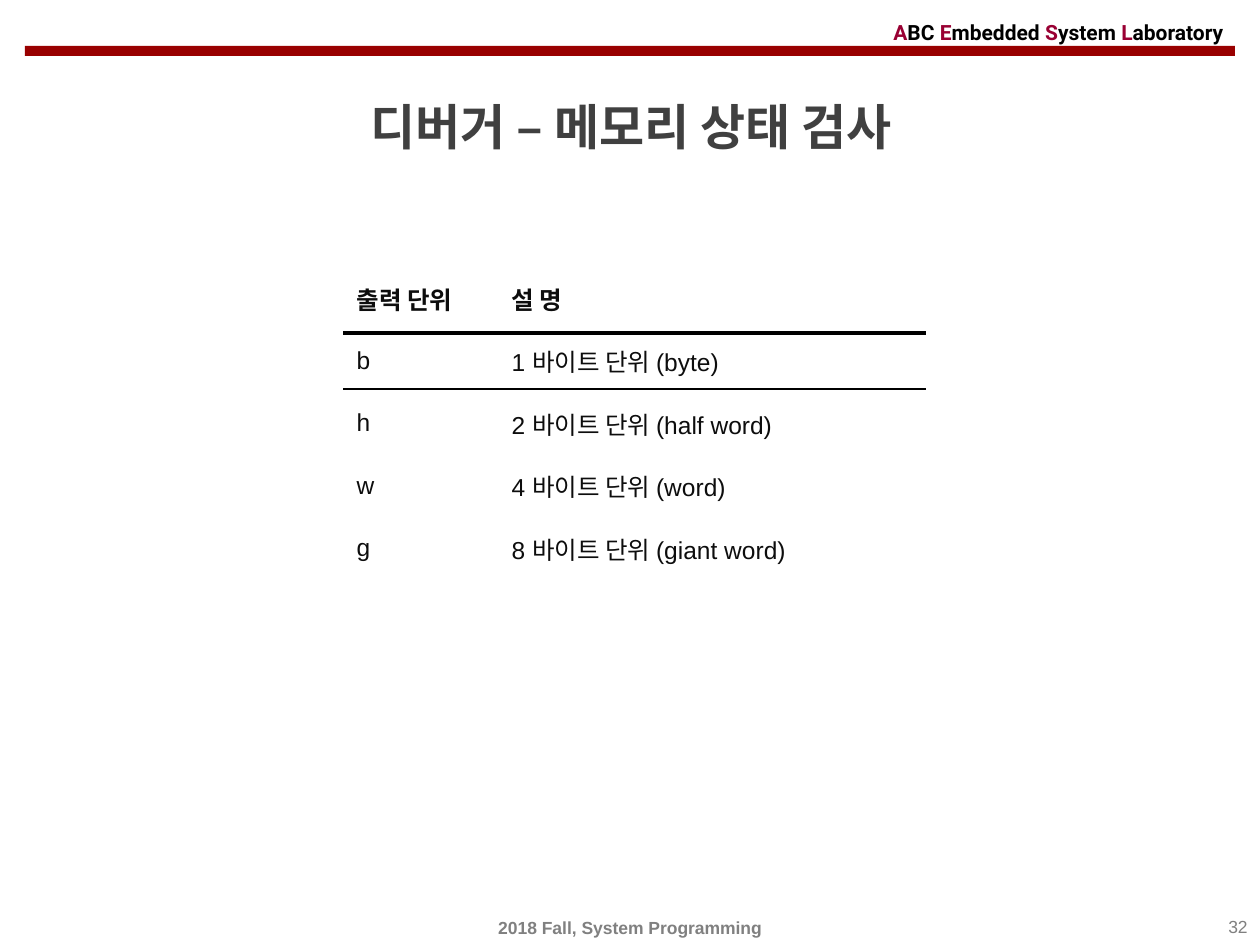
from lxml import etree
from pptx import Presentation
from pptx.dml.color import RGBColor
from pptx.enum.shapes import MSO_SHAPE
from pptx.enum.text import MSO_ANCHOR, PP_ALIGN
from pptx.oxml.ns import qn
from pptx.util import Pt

RECTANGLE = MSO_SHAPE.RECTANGLE
TOP, MIDDLE = MSO_ANCHOR.TOP, MSO_ANCHOR.MIDDLE
LEFT, CENTER, RIGHT = PP_ALIGN.LEFT, PP_ALIGN.CENTER, PP_ALIGN.RIGHT
EMU_PER_PX = 914400 / 126
KOREAN_FONT = "Noto Sans CJK KR"
BLACK, WHITE, GRAY, CRIMSON = "000000", "FFFFFF", "808080", "990033"

HEADER_FORMAT = {"name": "Roboto", "size": Pt(12), "bold": True}
TITLE_FORMAT = {"name": KOREAN_FONT, "size": Pt(28), "bold": True}
FOOTER_FORMAT = {"name": "Arial", "size": Pt(10), "bold": True}
NUMBER_FORMAT = {"name": "Arial", "size": Pt(10), "bold": False}
HEAD_FORMAT = {"name": "Arial", "size": Pt(14), "bold": True}
BODY_FORMAT = {"name": "Arial", "size": Pt(14), "bold": False}

COLUMN_WIDTHS = [155, 426]
ROW_HEIGHTS = [69, 56, 69, 56, 69]
UNIT_ROWS = [
    ("출력 단위", "설 명"),
    ("b", "1 바이트 단위 (byte)"),
    ("h", "2 바이트 단위 (half word)"),
    ("w", "4 바이트 단위 (word)"),
    ("g", "8 바이트 단위 (giant word)"),
]
RULES_BELOW = {0: 2.25, 1: 1.5}


def px(length):
    """Turn pixels into EMU."""
    return round(length * EMU_PER_PX)


def color(value):
    """Turn a hex string into a colour."""
    return RGBColor.from_string(value)


def add_run(paragraph, text, formats, text_color):
    """Add a formatted run that draws Hangul in the Korean font."""
    run = paragraph.add_run()
    run.text = text
    for name, value in formats.items():
        setattr(run.font, name, value)
    run.font.color.rgb = color(text_color)
    etree.SubElement(run._r.get_or_add_rPr(), qn("a:ea"), typeface=KOREAN_FONT)


def add_text(slide, box, runs, formats, align=LEFT, anchor=MIDDLE):
    """Add a text box holding one paragraph of coloured runs."""
    frame = slide.shapes.add_textbox(*map(px, box)).text_frame
    frame.word_wrap = True
    frame.vertical_anchor = anchor
    paragraph = frame.paragraphs[0]
    paragraph.alignment = align
    for text, text_color in runs:
        add_run(paragraph, text, formats, text_color)


def add_bar(slide, box, fill_color):
    """Add a plain filled rectangle."""
    bar = slide.shapes.add_shape(RECTANGLE, *map(px, box))
    bar.shadow.inherit = False
    bar.fill.solid()
    bar.fill.fore_color.rgb = color(fill_color)
    bar.line.fill.background()


def set_borders(cell, borders):
    """Set cell borders from (side, colour, points) in L, R, T, B order."""
    properties = cell._tc.get_or_add_tcPr()
    for index, (side, line_color, points) in enumerate(borders):
        line = etree.Element(qn(f"a:ln{side}"), w=str(Pt(points)))
        fill = etree.SubElement(line, qn("a:solidFill"))
        etree.SubElement(fill, qn("a:srgbClr"), val=line_color)
        properties.insert(index, line)


def rule_below(row):
    """Give the colour and width of the line under a row."""
    return (BLACK, RULES_BELOW[row]) if row in RULES_BELOW else (WHITE, 1)


def add_unit_table(slide, left, top):
    """Add the table of output units."""
    size = sum(COLUMN_WIDTHS), sum(ROW_HEIGHTS)
    table = slide.shapes.add_table(
        len(ROW_HEIGHTS), len(COLUMN_WIDTHS), *map(px, (left, top, *size))
    ).table
    table.horz_banding = False
    for column, width in zip(table.columns, COLUMN_WIDTHS):
        column.width = px(width)
    for row, (height, texts) in enumerate(zip(ROW_HEIGHTS, UNIT_ROWS)):
        table.rows[row].height = px(height)
        for column, text in enumerate(texts):
            cell = table.cell(row, column)
            cell.vertical_anchor = MIDDLE
            cell.fill.background()
            formats = BODY_FORMAT if row else HEAD_FORMAT
            add_run(cell.text_frame.paragraphs[0], text, formats, "0D0D0D")
            set_borders(cell, [
                ("L", WHITE, 1),
                ("R", WHITE, 1),
                ("T", *rule_below(row - 1)),
                ("B", *rule_below(row)),
            ])


def main():
    """Build and save the slide."""
    presentation = Presentation()
    presentation.slide_width, presentation.slide_height = px(1260), px(945)
    slide = presentation.slides.add_slide(presentation.slide_layouts[6])
    add_bar(slide, (25, 46, 1210, 10), "990000")
    header = []
    for word in ("ABC ", "Embedded ", "System ", "Laboratory"):
        header += [(word[0], CRIMSON), (word[1:], BLACK)]
    add_text(slide, (881, 15, 379, 35), header, HEADER_FORMAT)
    add_text(slide, (26, 76, 1210, 100), [("디버거 – 메모리 상태 검사", "404040")],
             TITLE_FORMAT, CENTER)
    add_text(slide, (0, 910, 1260, 35), [("2018 Fall, System Programming", GRAY)],
             FOOTER_FORMAT, CENTER)
    add_text(slide, (966, 910, 294, 35), [("32", GRAY)], NUMBER_FORMAT, RIGHT, TOP)
    add_unit_table(slide, 344, 264)
    presentation.save("out.pptx")


if __name__ == "__main__":
    main()
